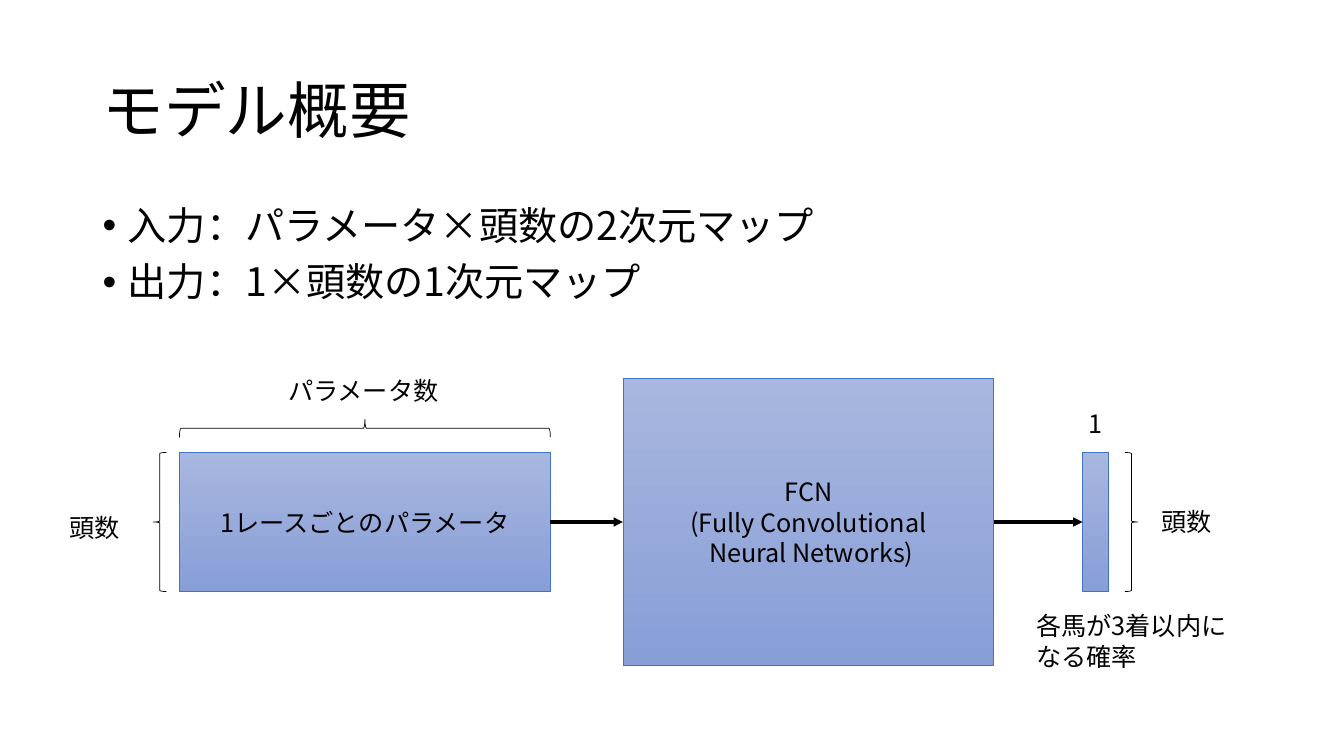
from dataclasses import dataclass

from lxml.etree import SubElement
from pptx import Presentation
from pptx.dml.color import RGBColor
from pptx.enum.shapes import MSO_CONNECTOR, MSO_SHAPE
from pptx.enum.text import MSO_ANCHOR, PP_ALIGN
from pptx.oxml.ns import qn
from pptx.util import Inches, Pt

FONT = "Noto Sans CJK JP"
BLACK = RGBColor(0x00, 0x00, 0x00)
BLUE = RGBColor(0x44, 0x72, 0xC4)
BLUE_TOP = RGBColor(0xA8, 0xB7, 0xDF)
BLUE_BOTTOM = RGBColor(0x88, 0x9E, 0xD7)
SLIDE_WIDTH, SLIDE_HEIGHT = Inches(13.33), Inches(7.5)
COLUMN, ROW = SLIDE_WIDTH / 100, SLIDE_HEIGHT / 100
BRACE_WIDTH = 0.98
LABEL_HEIGHT = 5.33


@dataclass
class Box:
    """An area in columns and rows, each a hundredth of the slide."""
    left: float
    top: float
    width: float
    height: float

    def offset(self, left, top, width, height):
        """Return a box offset from the corner of this one."""
        return Box(self.left + left, self.top + top, width, height)

    def lengths(self):
        """Return left, top, width and height as slide lengths."""
        return (round(self.left * COLUMN), round(self.top * ROW),
                round(self.width * COLUMN), round(self.height * ROW))


def write(frame, text, size, align=PP_ALIGN.LEFT):
    """Fill a text frame and format all of its runs."""
    frame.text = text
    for para in frame.paragraphs:
        para.alignment = align
        for span in para.runs:
            span.font.size = Pt(size)
            span.font.name = FONT
            span.font.color.rgb = BLACK
            SubElement(span.font._element, qn("a:ea"), typeface=FONT)


def add_text(page, box, text, size=18, wrap=False):
    """Add a text box and return its frame."""
    frame = page.shapes.add_textbox(*box.lengths()).text_frame
    frame.word_wrap = wrap
    write(frame, text, size)
    return frame


def add_title(page, box):
    """Add the slide title."""
    frame = add_text(page, box, "モデル概要", 44, wrap=True)
    frame.vertical_anchor = MSO_ANCHOR.MIDDLE
    frame.paragraphs[0].line_spacing = 0.9


def add_bullets(page, box):
    """Add the bulleted input and output summary."""
    text = "入力：パラメータ×頭数の2次元マップ\n出力：1×頭数の1次元マップ"
    for para in add_text(page, box, text, 28, wrap=True).paragraphs:
        para.line_spacing = 0.9
        para.space_before = Pt(10)
        properties = para._p.get_or_add_pPr()
        properties.set("marL", str(Inches(0.25)))
        properties.set("indent", str(-Inches(0.25)))
        SubElement(properties, qn("a:buFont"), typeface="Arial")
        SubElement(properties, qn("a:buChar"), char="•")


def add_block(page, box, text=""):
    """Add a blue gradient rectangle with centred text."""
    block = page.shapes.add_shape(MSO_SHAPE.RECTANGLE, *box.lengths())
    block.shadow.inherit = False
    block.fill.gradient()
    block.fill.gradient_angle = 270
    for stop, color in zip(block.fill.gradient_stops, (BLUE_TOP, BLUE_BOTTOM)):
        stop.color.rgb = color
    block.line.color.rgb = BLUE
    block.line.width = Pt(0.5)
    block.text_frame.vertical_anchor = MSO_ANCHOR.MIDDLE
    write(block.text_frame, text, 18, PP_ALIGN.CENTER)


def add_brace(page, box, kind=MSO_SHAPE.LEFT_BRACE, turned=False):
    """Add a thin brace filling the box, pointing up when turned."""
    left, top, width, height = box.lengths()
    if turned:
        shift = (width - height) // 2
        left, top, width, height = left + shift, top - shift, height, width
    brace = page.shapes.add_shape(kind, left, top, width, height)
    brace.rotation = 90 if turned else 0
    brace.shadow.inherit = False
    brace.fill.background()
    brace.line.color.rgb = BLACK
    brace.line.width = Pt(0.5)


def add_input(page, box):
    """Add the input map with its two dimensions."""
    add_block(page, box, "1レースごとのパラメータ")
    add_brace(page, box.offset(-1.95, 0, BRACE_WIDTH, box.height))
    add_text(page, box.offset(-8.93, 7.2, 5.33, LABEL_HEIGHT), "頭数")
    add_brace(page, box.offset(0, -4.4, box.width, 2.4), turned=True)
    add_text(page, box.offset(7.35, -10.8, 12.9, LABEL_HEIGHT), "パラメータ数")


def add_output(page, box):
    """Add the output map with its dimensions and meaning."""
    add_block(page, box)
    add_brace(page, box.offset(3.15, 0, BRACE_WIDTH, box.height),
              MSO_SHAPE.RIGHT_BRACE)
    add_text(page, box.offset(5.1, 6.4, 5.33, LABEL_HEIGHT), "頭数")
    add_text(page, box.offset(-0.3, -6.53, 2.55, LABEL_HEIGHT), "1")
    add_text(page, box.offset(-4.2, 20.27, 15.83, 9.47),
             "各馬が3着以内に\nなる確率", wrap=True)


def add_arrow(page, start, end, row):
    """Add a level arrow between the facing edges of two boxes."""
    height = round(row * ROW)
    arrow = page.shapes.add_connector(
        MSO_CONNECTOR.STRAIGHT, round((start.left + start.width) * COLUMN), height,
        round(end.left * COLUMN), height)
    arrow.line.color.rgb = BLACK
    arrow.line.width = Pt(2.25)
    outline = arrow._element.spPr.find(qn("a:ln"))
    SubElement(outline, qn("a:tailEnd"), type="triangle")
    SubElement(arrow._element.spPr, qn("a:effectLst"))


def add_diagram(page, box):
    """Add the flow from input through network to output."""
    middle = box.height / 2
    map_height = 18.4
    map_top = middle - map_height / 2
    source = box.offset(0, map_top, 27.6, map_height)
    network = box.offset(33, 0, 27.6, box.height)
    result = box.offset(67.2, map_top, 1.95, map_height)
    add_input(page, source)
    add_block(page, network, "FCN\n(Fully Convolutional\v Neural Networks)")
    add_output(page, result)
    for start, end in ((source, network), (network, result)):
        add_arrow(page, start, end, box.top + middle)


def main():
    """Build the model overview slide."""
    deck = Presentation()
    deck.slide_width, deck.slide_height = SLIDE_WIDTH, SLIDE_HEIGHT
    page = deck.slides.add_slide(deck.slide_layouts[6])
    add_title(page, Box(6.9, 5.33, 86.25, 19.33))
    add_bullets(page, Box(6.9, 26.67, 86.25, 63.47))
    add_diagram(page, Box(13.35, 50.05, 69.15, 38))
    deck.save("out.pptx")


main()
